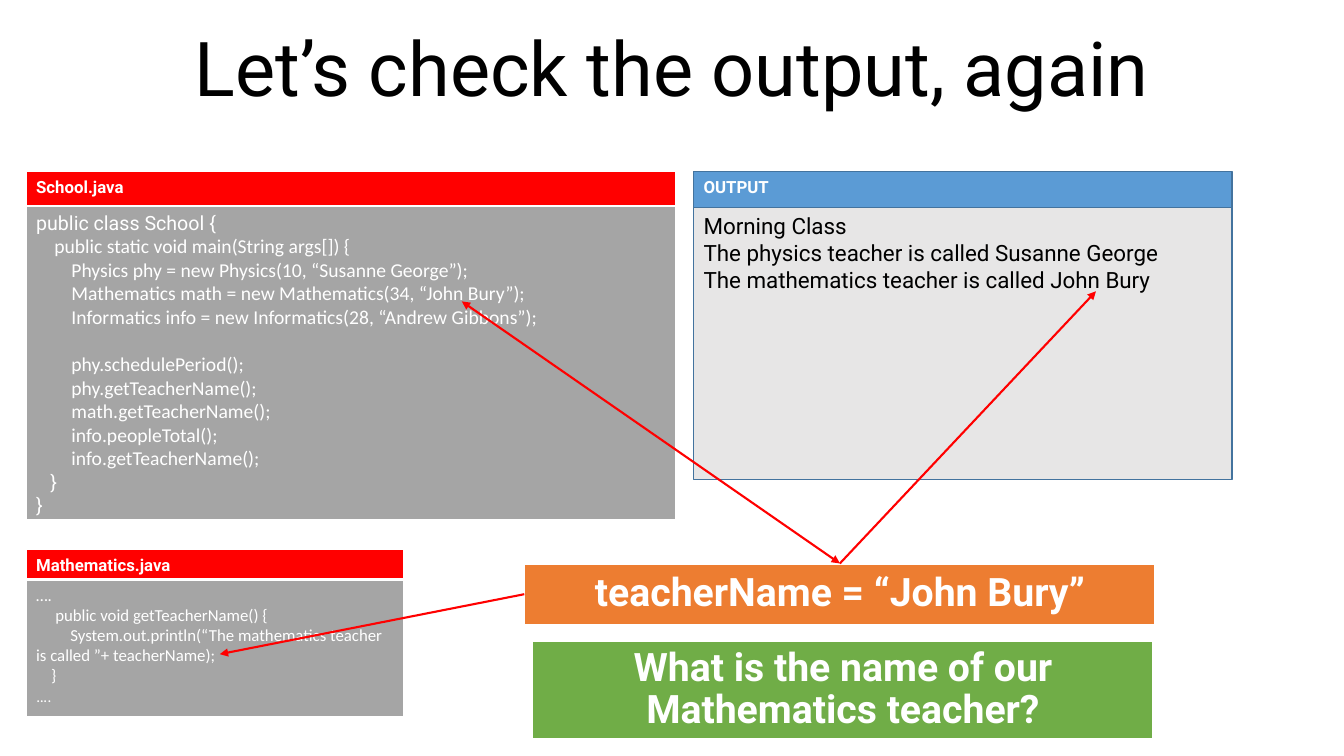
from lxml import etree
from pptx import Presentation
from pptx import util as u
from pptx.dml.color import RGBColor
from pptx.enum import shapes, text
from pptx.oxml.ns import qn

COLORS = {
    "white": "FFFFFF", "black": "000000", "red": "FF0000",
    "code": "A5A5A5", "output_bar": "5B9BD5", "output_edge": "43739E",
    "output_body": "E7E6E6", "value": "ED7D31", "question": "70AD47",
}

# Code lines: (text, first-line indent in inches, font, space before in points)
SCHOOL_CODE = [
    ("public class School {", 0, "Roboto", 0),
    ("public static void main(String args[]) {", 0.18, "Calibri", 0),
    ("Physics phy = new Physics(10, “Susanne George”);", 0.35, "Calibri", 0),
    ("Mathematics math = new Mathematics(34, “John Bury”);", 0.35, "Calibri", 0),
    ("Informatics info = new Informatics(28, “Andrew Gibbons”);", 0.35, "Calibri", 0),
    ("phy.schedulePeriod();", 0.35, "Calibri", 17),
    ("phy.getTeacherName();", 0.35, "Calibri", 0),
    ("math.getTeacherName();", 0.35, "Calibri", 0),
    ("info.peopleTotal();", 0.35, "Calibri", 0),
    ("info.getTeacherName();", 0.35, "Calibri", 0),
    ("}", 0.14, "Roboto", 0),
    ("}", 0, "Roboto", 0),
]
MATHEMATICS_CODE = [
    ("….", 0, "Calibri", 0),
    ("public void getTeacherName() {", 0.19, "Calibri", 0),
    ("System.out.println(“The mathematics teacher is called ”+ teacherName);",
     0.34, "Calibri", 0),
    ("}", 0.15, "Calibri", 0),
    ("….", 0, "Roboto", 0),
]
OUTPUT_LINES = [
    ("Morning Class", 0, "Roboto", 0),
    ("The physics teacher is called Susanne George", 0, "Roboto", 0),
    ("The mathematics teacher is called John Bury", 0, "Roboto", 0),
]


def rgb(name):
    return RGBColor.from_string(COLORS[name])


def apply(target, values):
    for name, value in values.items():
        setattr(target, name, value)


def write_lines(frame, lines, size, color, bold=False, centred=False):
    for number, (words, indent, font, before) in enumerate(lines):
        line = frame.paragraphs[0] if number == 0 else frame.add_paragraph()
        apply(line, {
            "alignment": text.PP_ALIGN.CENTER if centred else text.PP_ALIGN.LEFT,
            "line_spacing": 0.9 if centred else 1.0,
            "space_before": u.Pt(before),
        })
        if indent:
            line._p.get_or_add_pPr().set("indent", str(u.Inches(indent)))
        run = line.add_run()
        run.text = words
        apply(run.font, {"name": font, "size": u.Pt(size), "bold": bold})
        run.font.color.rgb = rgb(color)


def add_box(slide, box, fill, edge="white", edge_width=1.5, middle=False):
    rect = slide.shapes.add_shape(
        shapes.MSO_SHAPE.RECTANGLE, *(u.Inches(length) for length in box))
    rect.shadow.inherit = False
    rect.fill.solid()
    rect.fill.fore_color.rgb = rgb(fill)
    rect.line.color.rgb = rgb(edge)
    rect.line.width = u.Pt(edge_width)
    anchor = text.MSO_ANCHOR.MIDDLE if middle else text.MSO_ANCHOR.TOP
    apply(rect.text_frame, {"word_wrap": True, "vertical_anchor": anchor})
    return rect


def add_title(slide, box, words):
    title = slide.shapes.title
    apply(title, dict(zip(("left", "top", "width", "height"), map(u.Inches, box))))
    apply(title.text_frame, {
        "word_wrap": True, "auto_size": text.MSO_AUTO_SIZE.NONE,
        "vertical_anchor": text.MSO_ANCHOR.BOTTOM,
    })
    write_lines(title.text_frame, [(words, 0, "Roboto", 0)], 54, "black", centred=True)


def add_panel(slide, box, bar_height, heading, lines, size, look):
    """A body with a heading bar along its top."""
    left, top, width, height = box
    edge = look["edge"]
    body = add_box(slide, (left, top + bar_height, width, height - bar_height),
                   look["body"], *edge)
    write_lines(body.text_frame, lines, size, look["ink"])
    bar = add_box(slide, (left, top, width, bar_height), look["bar"], *edge)
    write_lines(bar.text_frame, [(heading, 0, "Roboto", 0)], 12, "white", bold=True)


def add_callout(slide, box, words, fill):
    callout = add_box(slide, box, fill, middle=True)
    write_lines(callout.text_frame, [(words, 0, "Roboto", 0)], 28, "white",
                bold=True, centred=True)
    return callout


def add_arrow(slide, source, side, target, ends):
    x, y = (u.Inches(length) for length in target)
    arrow = slide.shapes.add_connector(shapes.MSO_CONNECTOR.STRAIGHT, x, y, x, y)
    arrow.begin_connect(source, side)
    arrow.line.color.rgb = rgb("red")
    arrow.line.width = u.Pt(1.5)
    outline = arrow.line._get_or_add_ln()
    for end in ends:
        etree.SubElement(outline, qn("a:" + end), type="triangle")
    etree.SubElement(arrow._element.spPr, qn("a:effectLst"))


def main():
    deck = Presentation()
    deck.slide_width, deck.slide_height = u.Inches(13.33), u.Inches(7.5)
    slide = deck.slides.add_slide(deck.slide_layouts[5])
    add_title(slide, (0, 0, 13.33, 1.17), "Let’s check the output, again")

    # Source files and program output
    code_look = {"bar": "red", "body": "code", "ink": "white", "edge": ("white", 1.5)}
    output_look = {"bar": "output_bar", "body": "output_body", "ink": "black",
                   "edge": ("output_edge", 1)}
    add_panel(slide, (6.88, 1.7, 5.34, 3.06), 0.36, "OUTPUT",
              OUTPUT_LINES, 16, output_look)
    add_panel(slide, (0.26, 5.45, 3.75, 1.66), 0.3, "Mathematics.java",
              MATHEMATICS_CODE, 12, code_look)
    add_panel(slide, (0.26, 1.7, 6.45, 3.46), 0.34, "School.java",
              SCHOOL_CODE, 14, code_look)

    # Callouts
    teacher_name = add_callout(slide, (5.2, 5.59, 6.26, 0.61),
                               "teacherName = “John Bury”", "value")
    add_callout(slide, (5.28, 6.36, 6.16, 0.97),
                "What is the name of our Mathematics teacher?", "question")

    # Arrows from the value to each place it appears
    add_arrow(slide, teacher_name, 0, (4.58, 2.99), ("headEnd", "tailEnd"))
    add_arrow(slide, teacher_name, 1, (2.18, 6.49), ("tailEnd",))
    add_arrow(slide, teacher_name, 0, (10.87, 2.89), ("tailEnd",))

    deck.save("out.pptx")


if __name__ == "__main__":
    main()
